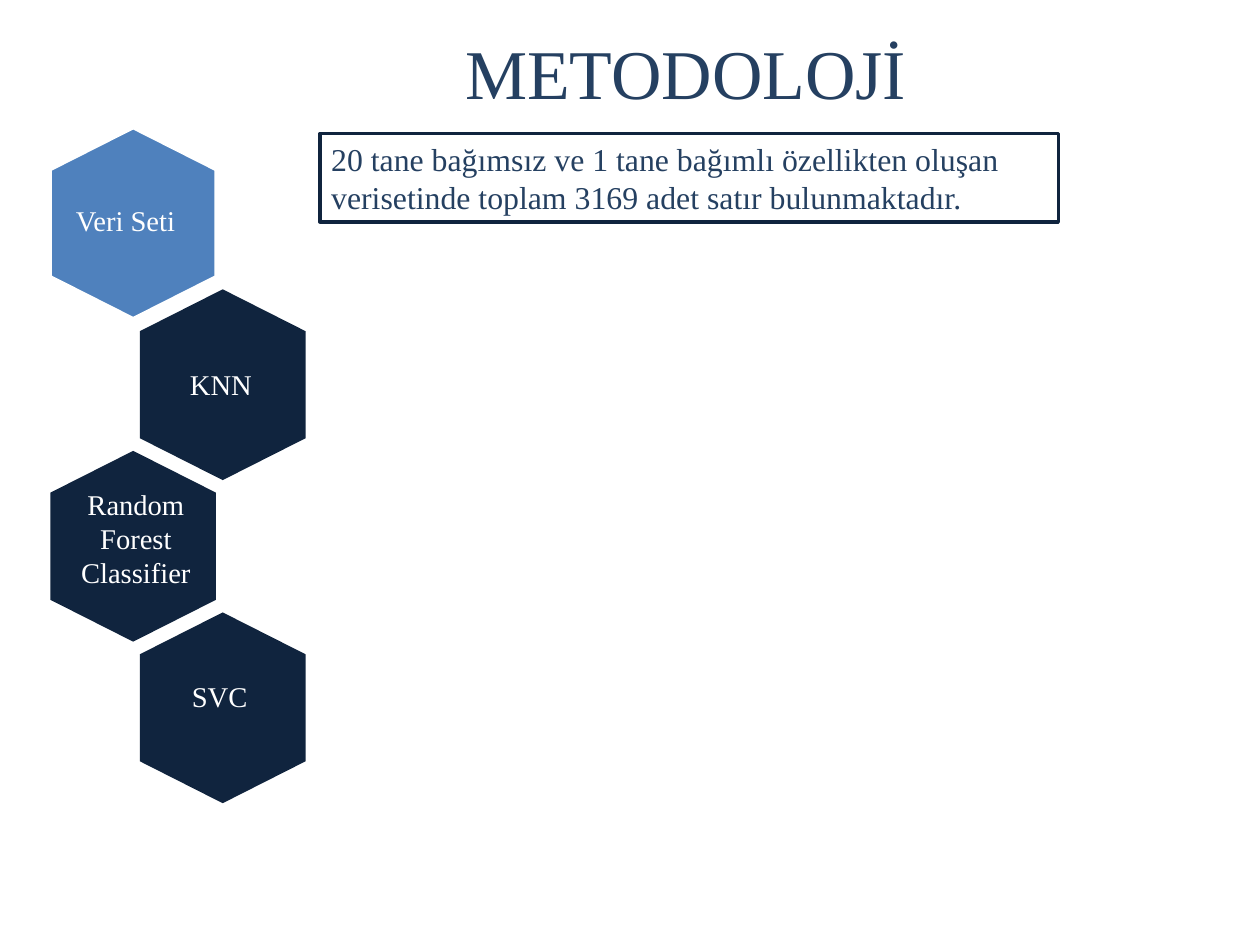
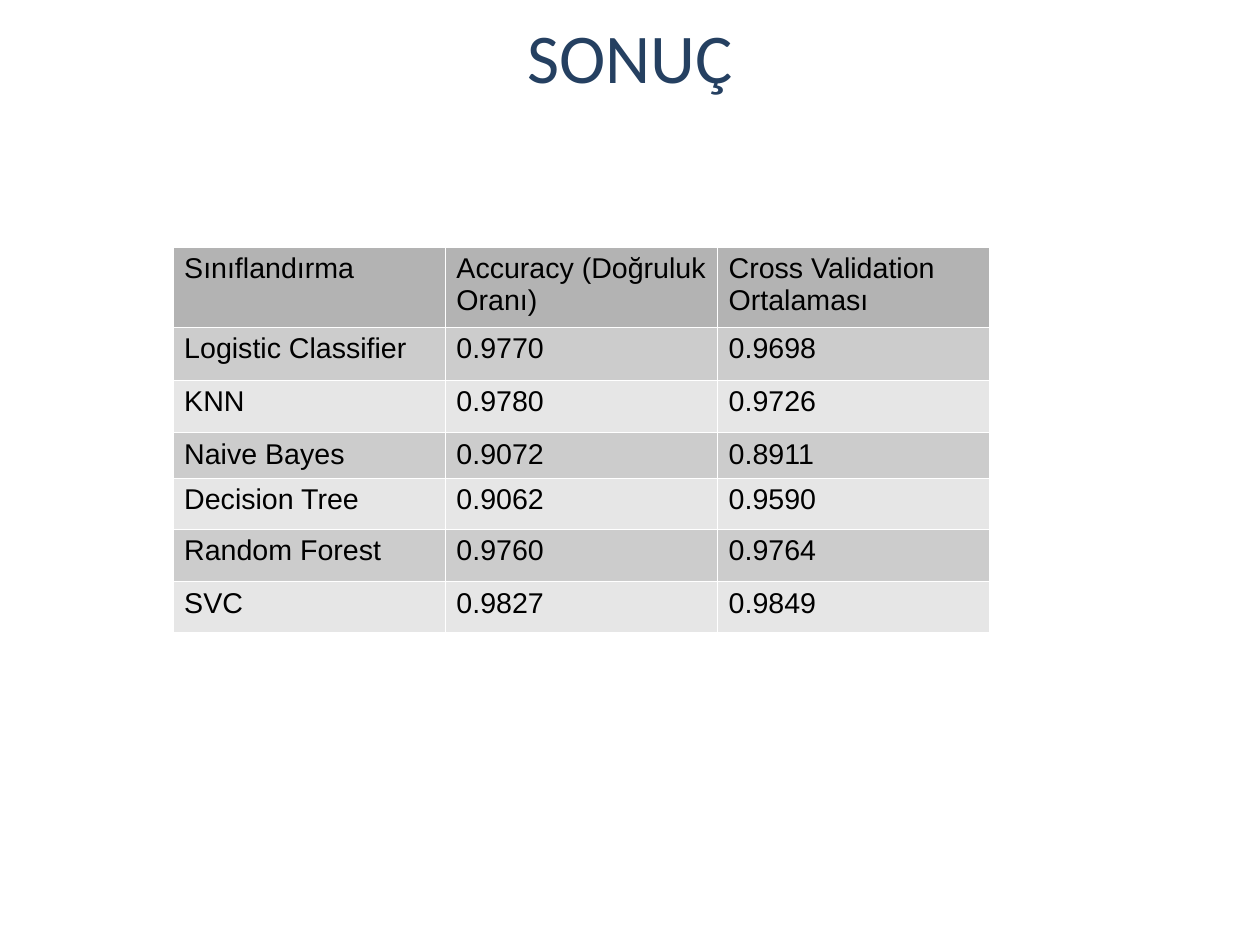
from lxml import etree
from pptx import Presentation
from pptx.dml.color import RGBColor
from pptx.enum import shapes, text
from pptx.oxml import ns
from pptx.util import Cm, Pt

COLORS = {"ink": "254061", "navy": "10243E", "blue": "4F81BD", "white": "FFFFFF",
          "black": "000000", "head": "B3B3B3", "odd": "CCCCCC", "even": "E6E6E6"}
SERIF = "Times New Roman"
MID = text.PP_ALIGN.CENTER

STEPS = [
    ("Veri Seti", "blue", 2.79, 4.9),
    ("KNN", "navy", 4.91, 8.54),
    ("Random Forest Classifier", "navy", 3.02, 11.96),
    ("SVC", "navy", 4.88, 15.47),
]
NOTE = ("20 tane bağımsız ve 1 tane bağımlı özellikten oluşan "
        "verisetinde toplam 3169 adet satır bulunmaktadır.")
SCORES = [
    ("Sınıflandırma", "Accuracy (Doğruluk Oranı)", "Cross Validation Ortalaması"),
    ("Logistic Classifier", "0.9770", "0.9698"),
    ("KNN", "0.9780", "0.9726"),
    ("Naive Bayes", "0.9072", "0.8911"),
    ("Decision Tree", "0.9062", "0.9590"),
    ("Random Forest", "0.9760", "0.9764"),
    ("SVC", "0.9827", "0.9849"),
]
HEIGHTS = [1.78, 1.17, 1.17, 1.02, 1.12, 1.17, 1.12]


def color(name):
    return RGBColor.from_string(COLORS[name])


def apply(target, values):
    for key, value in values.items():
        setattr(target, key, value)


def paint(fill, name):
    fill.solid()
    fill.fore_color.rgb = color(name)


def write(frame, words, size, face, ink, align=text.PP_ALIGN.LEFT):
    frame.text = words
    frame.word_wrap = True
    part = frame.paragraphs[0]
    part.alignment = align
    apply(part.font, {"size": Pt(size), "name": face, "bold": False})
    part.font.color.rgb = color(ink)


def add_slide(deck, words, face, left, width, height):
    slide = deck.slides.add_slide(deck.slide_layouts[5])
    title = slide.shapes.title
    apply(title, {"left": Cm(left), "top": 0, "width": Cm(width), "height": Cm(height)})
    write(title.text_frame, words, 44, face, "ink", MID)
    title.text_frame.vertical_anchor = text.MSO_ANCHOR.MIDDLE
    return slide


def add_hex(slide, left, top, fill):
    wide, high, slope = 3.68, 4.24, 0.93
    points = [(wide / 2, 0), (wide, slope), (wide, high - slope),
              (wide / 2, high), (0, high - slope), (0, slope)]
    spots = [(Cm(left + x), Cm(top + y)) for x, y in points]
    pen = slide.shapes.build_freeform(*spots[0])
    pen.add_line_segments(spots[1:], close=True)
    shape = pen.convert_to_shape()
    shape.shadow.inherit = False
    paint(shape.fill, fill)
    if fill == "blue":
        paint(shape.line.fill, "white")
        shape.line.width = Pt(2)
    else:
        shape.line.fill.background()


def add_label(slide, words, x, y):
    wide, high = 3.56, 2.54
    box = slide.shapes.add_textbox(Cm(x - wide / 2), Cm(y - high / 2), Cm(wide), Cm(high))
    write(box.text_frame, words, 18, SERIF, "white", MID)
    box.text_frame.vertical_anchor = text.MSO_ANCHOR.MIDDLE


def add_note(slide, words):
    box = slide.shapes.add_shape(shapes.MSO_SHAPE.RECTANGLE,
                                 Cm(7.11), Cm(2.97), Cm(16.41), Cm(1.96))
    box.shadow.inherit = False
    box.fill.background()
    paint(box.line.fill, "navy")
    box.line.width = Pt(2.25)
    write(box.text_frame, words, 20, SERIF, "ink")
    box.text_frame.vertical_anchor = text.MSO_ANCHOR.TOP


def add_rules(cell):
    props = cell._tc.get_or_add_tcPr()
    for index, side in enumerate(("lnL", "lnR", "lnT", "lnB")):
        line = etree.Element(ns.qn("a:" + side), w=str(Pt(0.06)))
        fill = etree.SubElement(line, ns.qn("a:solidFill"))
        etree.SubElement(fill, ns.qn("a:srgbClr"), val=COLORS["white"])
        props.insert(index, line)


def add_scores(slide, rows):
    wide = 6.05
    count = len(rows[0])
    table = slide.shapes.add_table(len(rows), count, Cm(3.84), Cm(5.49),
                                   Cm(wide * count), Cm(sum(HEIGHTS))).table
    apply(table, {"first_row": False, "horz_banding": False})
    for column in table.columns:
        column.width = Cm(wide)
    for index, (row, values) in enumerate(zip(table.rows, rows)):
        row.height = Cm(HEIGHTS[index])
        shade = "head" if index == 0 else "odd" if index % 2 else "even"
        for cell, value in zip(row.cells, values):
            write(cell.text_frame, value, 18, "Arial", "black")
            paint(cell.fill, shade)
            add_rules(cell)


def main():
    deck = Presentation()
    apply(deck, {"slide_width": Cm(28), "slide_height": Cm(21)})

    method = add_slide(deck, "METODOLOJİ", SERIF, 2.48, 25.52, 3.18)
    for index, (words, fill, x, y) in enumerate(STEPS):
        add_hex(method, 1.12 + index % 2 * 1.99, 2.84 + index * 3.59, fill)
    for words, fill, x, y in STEPS:
        add_label(method, words, x, y)
    add_note(method, NOTE)

    result = add_slide(deck, "SONUÇ", "Calibri", 0, 28, 2.49)
    add_scores(result, SCORES)

    deck.save("out.pptx")


if __name__ == "__main__":
    main()
